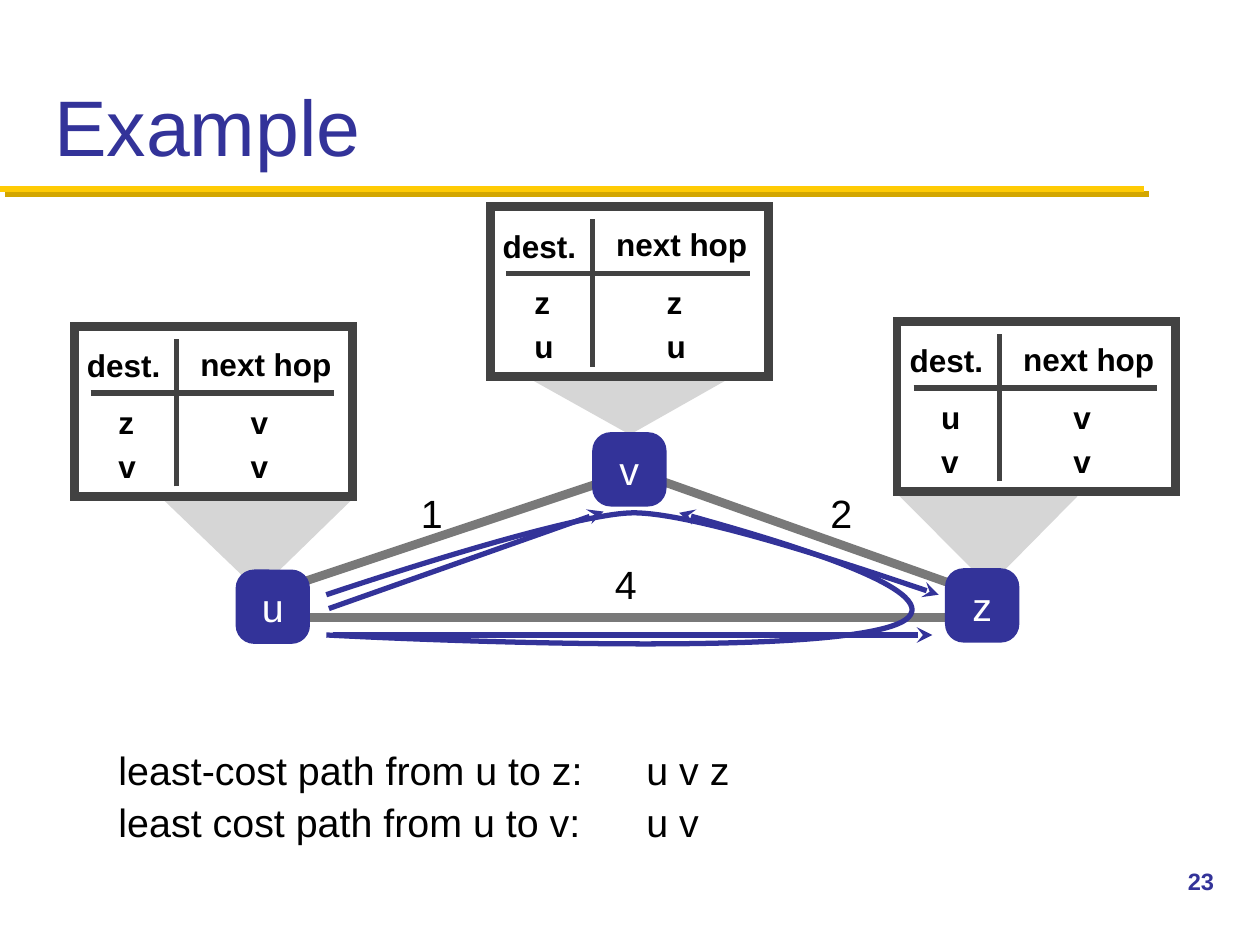
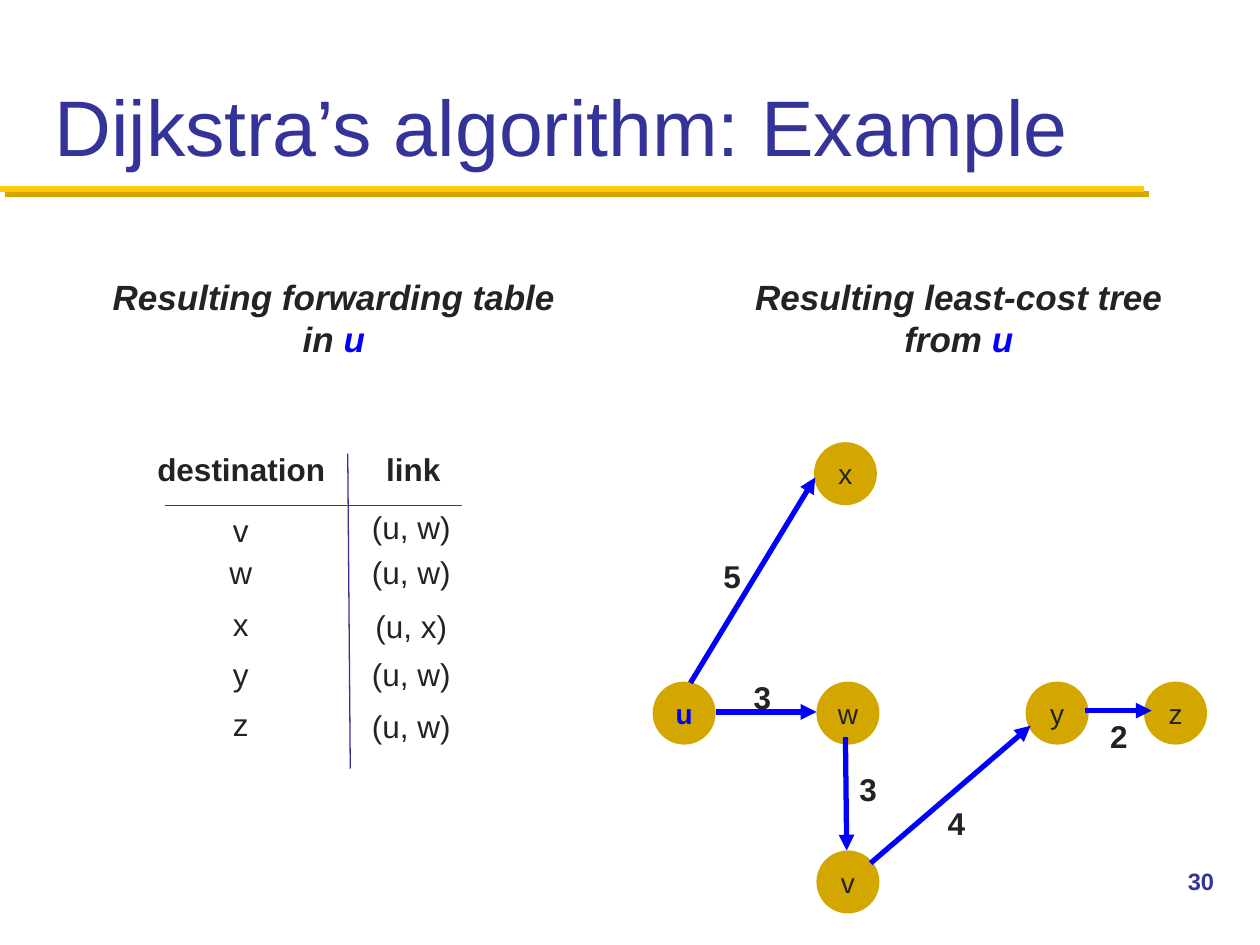
from lxml import etree
from pptx import Presentation
from pptx.dml.color import RGBColor
from pptx.enum.shapes import MSO_CONNECTOR, MSO_SHAPE
from pptx.enum.text import MSO_ANCHOR, MSO_AUTO_SIZE, PP_ALIGN
from pptx.oxml.ns import qn
from pptx.util import Pt

PX = 9144  # 100 px to the inch
FONT = "Arial"
HEX = {"navy": "333399", "gold": "FFCB05", "ochre": "D3A600", "gray": "797979",
       "dark": "424242", "pale": "D6D6D6", "ink": "232323", "blue": "0000FF",
       "black": "000000", "white": "FFFFFF"}
LEFT, MID = PP_ALIGN.LEFT, PP_ALIGN.CENTER
TOP, MIDDLE, BOTTOM = MSO_ANCHOR.TOP, MSO_ANCHOR.MIDDLE, MSO_ANCHOR.BOTTOM
NONE = MSO_AUTO_SIZE.NONE
STRAIGHT = MSO_CONNECTOR.STRAIGHT
RECT, ROUND, OVAL = MSO_SHAPE.RECTANGLE, MSO_SHAPE.ROUNDED_RECTANGLE, MSO_SHAPE.OVAL


def emu(nums):
    return [round(n * PX) for n in nums]


def rgb(name):
    return RGBColor.from_string(HEX[name])


class Deck:
    def __init__(self):
        self.prs = Presentation()
        self.prs.slide_width, self.prs.slide_height = emu((1000, 750))
        self.shapes = None

    def page(self, title, num):
        """Start a slide with the shared rule, title and number."""
        slide = self.prs.slides.add_slide(self.prs.slide_layouts[5])
        self.shapes = slide.shapes
        head = self.shapes.title
        head.left, head.top, head.width, head.height = emu((33, 17, 933, 125))
        self.letter(head, [[title]], 45, "navy", anchor=BOTTOM, pad=(10, 5))
        self.line((4, 154), (912, 154), "ochre", 3.5)
        self.line((0, 150), (908, 150), "gold", 3.5)
        self.text((933, 683, 67, 50), num, 13.5, "navy", bold=True, pad=(10, 5))

    def letter(self, shape, paras, size, color, bold=False, ital=False,
               align=LEFT, anchor=TOP, pad=(4, 4), wrap=True):
        """Fill a shape with paragraphs; a run is a text or (text, color)."""
        frame = shape.text_frame
        frame.auto_size, frame.word_wrap = NONE, wrap
        frame.vertical_anchor = anchor
        frame.margin_left = frame.margin_right = pad[0] * PX
        frame.margin_top = frame.margin_bottom = pad[1] * PX
        for i, runs in enumerate(paras):
            para = frame.add_paragraph() if i else frame.paragraphs[0]
            para.alignment = align
            for item in runs:
                words, tint = (item, color) if isinstance(item, str) else item
                run = para.add_run()
                run.text = words
                font = run.font
                font.name, font.size = FONT, Pt(size)
                font.bold, font.italic = bold, ital
                font.color.rgb = rgb(tint)

    def text(self, box, words, size, color, **style):
        paras = [[words]] if isinstance(words, str) else words
        self.letter(self.shapes.add_textbox(*emu(box)), paras, size, color, **style)

    def label(self, box, words, size=18, **style):
        """Centred text on one line, with the usual insets."""
        self.text(box, words, size, "ink", align=MID, pad=(10, 5), wrap=False, **style)

    def line(self, start, end, color, width, tip=None):
        line = self.shapes.add_connector(STRAIGHT, *emu(start + end))
        self.stroke(line, color, width, tip)
        etree.SubElement(line._element.spPr, qn("a:effectLst"))

    def stroke(self, shape, color, width, tip=None):
        shape.line.color.rgb = rgb(color)
        shape.line.width = Pt(width)
        if tip:
            etree.SubElement(shape.line._get_or_add_ln(), qn("a:tailEnd"), type=tip)

    def node(self, kind, box, name, size, fill, color, bold=False):
        node = self.shapes.add_shape(kind, *emu(box))
        node.shadow.inherit = False
        node.fill.solid()
        node.fill.fore_color.rgb = rgb(fill)
        node.line.fill.background()
        if kind == ROUND:
            node.adjustments[0] = 0.25
        self.letter(node, [[name]], size, color, bold=bold, align=MID,
                    anchor=MIDDLE, pad=(0, 0), wrap=False)

    def frame(self, box, color, width):
        """Unfilled rectangle with sharp corners."""
        rect = self.shapes.add_shape(RECT, *emu(box))
        rect.shadow.inherit = False
        rect.fill.background()
        self.stroke(rect, color, width)
        etree.SubElement(rect.line._get_or_add_ln(), qn("a:miter"), lim="800000")

    def outline(self, points, close):
        first, *rest = [emu(p) for p in points]
        pen = self.shapes.build_freeform(*first)
        pen.add_line_segments(rest, close=close)
        shape = pen.convert_to_shape()
        shape.shadow.inherit = False
        return shape

    def wedge(self, left, right, top, tip):
        shape = self.outline([(left, top), (right, top), tip], True)
        shape.fill.solid()
        shape.fill.fore_color.rgb = rgb("pale")
        shape.line.fill.background()

    def curve(self, points, color, width, tip):
        """Bezier path: a start, then three points to each segment."""
        shape = self.outline(points, False)
        shape.fill.background()
        self.stroke(shape, color, width, tip)
        route = next(shape._element.iter(qn("a:path")))
        steps = route.findall(qn("a:lnTo"))
        for i in range(0, len(steps), 3):
            bend = etree.SubElement(route, qn("a:cubicBezTo"))
            for step in steps[i:i + 3]:
                bend.append(step[0])
                route.remove(step)

    def hops(self, left, top, rows):
        """Framed forwarding table of one node."""
        def cell(x, y, wide, high, words):
            self.text((left + x, top + y, wide, high), words, 18, "black",
                      bold=True, anchor=MIDDLE)

        self.frame((left, top, 221, 135), "dark", 5)
        cell(6, 8, 156, 46, "dest.")
        cell(96, 7, 123, 46, "next hop")
        self.line((left + 13, top + 53), (left + 206, top + 53), "dark", 3)
        self.line((left + 81, top + 127), (left + 81, top + 10), "dark", 3)
        for i, (dest, hop) in enumerate(rows):
            cell(31, 50 + 35 * i, 49, 51, dest)
            cell(136, 50 + 35 * i, 26, 51, hop)


def routes(deck):
    deck.page("Example", "23")

    # Wedges from the tables to their nodes
    deck.wedge(712, 857, 392, (785, 465))
    deck.wedge(423, 576, 302, (500, 345))
    deck.wedge(128, 281, 395, (205, 469))

    # Links, costs and nodes
    for x, y, cost in ((484, 440, "4"), (330, 384, "1"), (655, 384, "2")):
        deck.text((x, y, 29, 46), cost, 22.5, "black", anchor=MIDDLE)
    for start, end in (((486, 380), (234, 464)), ((241, 490), (773, 490)),
                       ((520, 380), (774, 470))):
        deck.line(start, end, "gray", 5)
    for x, y, name in ((470, 343, "v"), (187, 452, "u"), (750, 451, "z")):
        deck.node(ROUND, (x, y, 59, 59), name, 22.5, "navy", "white")

    # Least-cost paths
    for i, (claim, trail) in enumerate((("least-cost path from u to z:", "u v z"),
                                        ("least cost path from u to v:", "u v"))):
        y = 588 + 41 * i
        deck.text((90, y, 405, 46), claim, 22.5, "black", anchor=MIDDLE)
        deck.text((509, y, 90, 46), trail, 22.5, "black", anchor=MIDDLE)

    # Forwarding tables
    deck.hops(389, 164, ("zz", "uu"))
    deck.hops(59, 259, ("zv", "vv"))
    deck.hops(712, 255, ("uv", "vv"))

    # Candidate paths
    deck.line((264, 504), (740, 504), "navy", 3, "stealth")
    deck.curve([(259, 472), (259, 472), (451, 407), (503, 407),
                (555, 407), (745, 472), (745, 472)], "navy", 3, "stealth")
    deck.line((261, 483), (479, 406), "navy", 3, "stealth")
    deck.curve([(259, 504), (259, 504), (684, 527), (721, 490),
                (747, 464), (539, 407), (539, 407)], "navy", 3, "stealth")


def tree(deck):
    deck.page("Dijkstra’s algorithm: Example", "30")

    # Nodes of the tree
    for x, y, name in ((646, 351, "x"), (518, 541, "u"), (908, 541, "z"),
                       (648, 675, "v"), (814, 541, "y"), (648, 541, "w")):
        root = name == "u"
        deck.node(OVAL, (x, y, 50, 50), name, 16, "ochre",
                  "blue" if root else "ink", root)

    # Edges and costs
    for start, end in (((861, 564), (914, 564)), ((691, 685), (818, 576)),
                       ((671, 585), (672, 675)), ((548, 542), (647, 379)),
                       ((568, 565), (648, 565))):
        deck.line(start, end, "blue", 3, "triangle")
    for x, y, cost in ((588, 533, "3"), (564, 437, "5"), (672, 606, "3"),
                       (742, 633, "4"), (871, 564, "2")):
        deck.label((x, y, 34, 40), cost, bold=True)

    # Headings
    for x, wide, words, link in ((588, 346, "Resulting least-cost tree", "from "),
                                 (78, 374, "Resulting forwarding table", "in ")):
        deck.label((x, 214, wide, 77), [[words], [link, ("u", "blue")]],
                   size=20, bold=True, ital=True)

    # Forwarding table
    deck.line((276, 360), (278, 610), "navy", 0.75)
    deck.line((131, 401), (367, 401), "navy", 0.75)
    deck.label((114, 352, 155, 40), "destination", bold=True)
    deck.label((296, 352, 64, 40), "link", bold=True)
    for dest, y, hop, low in (("v", 401, "w", 398), ("w", 434, "w", 434),
                              ("x", 475, "x", 477), ("y", 515, "w", 515),
                              ("z", 555, "w", 556)):
        deck.label((172, y, 38, 40), dest)
        deck.label((285, low, 83, 40), f"(u, {hop})")


def main():
    deck = Deck()
    routes(deck)
    tree(deck)
    deck.prs.save("out.pptx")


if __name__ == "__main__":
    main()
